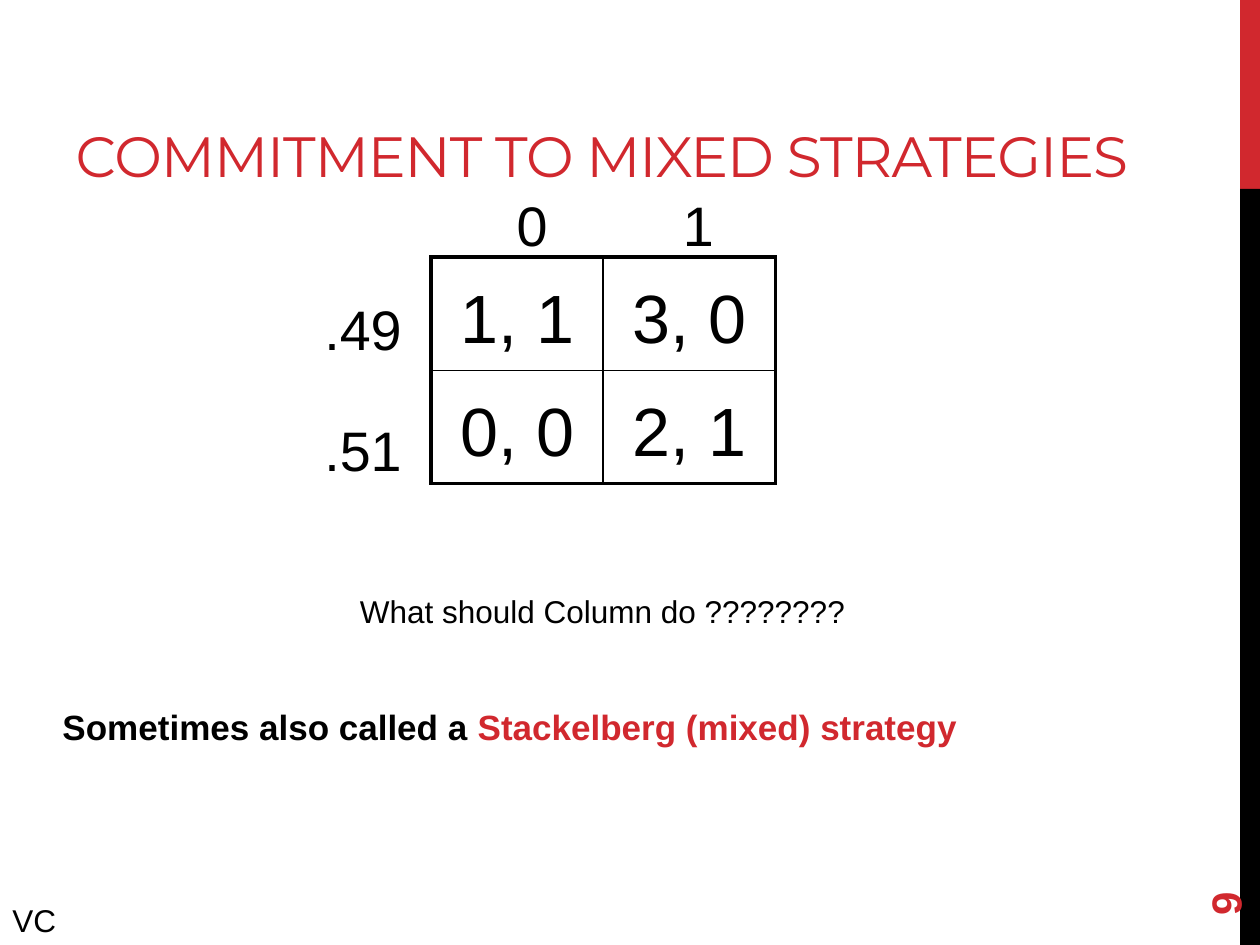
from lxml.etree import SubElement
from pptx import Presentation
from pptx.dml.color import RGBColor
from pptx.enum.shapes import MSO_SHAPE
from pptx.enum.text import MSO_ANCHOR, MSO_AUTO_SIZE, PP_ALIGN
from pptx.oxml.ns import qn
from pptx.util import Cm, Pt

RED = RGBColor(0xD1, 0x28, 0x2E)
BLACK = RGBColor(0, 0, 0)
PAYOFFS = [["1, 1", "3, 0"], ["0, 0", "2, 1"]]
ROW_WEIGHTS = [".49", ".51"]
COLUMN_WEIGHTS = ["0", "1"]


def format_paragraph(paragraph, size, color=BLACK, bold=False, name="Arial",
                     align=PP_ALIGN.LEFT, line_spacing=None):
    """Set the font and alignment shared by all runs of a paragraph."""
    paragraph.alignment = align
    if line_spacing:
        paragraph.line_spacing = line_spacing
    font = paragraph.font
    font.name, font.size, font.bold = name, Pt(size), bold
    font.color.rgb = color


def add_text(slide, box, text, size, wrap=True, **style):
    """Add a one-paragraph text box and return its shape."""
    shape = slide.shapes.add_textbox(*map(Cm, box))
    frame = shape.text_frame
    frame.word_wrap = wrap
    paragraph = frame.paragraphs[0]
    paragraph.text = text
    format_paragraph(paragraph, size, **style)
    return shape


def add_side_bar(slide, left, top, width, height):
    """Draw the edge strip, its upper fifth red and the rest black."""
    split = height / 5
    for offset, length, color in [(0, split, RED), (split, height - split, BLACK)]:
        shape = slide.shapes.add_shape(MSO_SHAPE.RECTANGLE, Cm(left), Cm(top + offset),
                                       Cm(width), Cm(length))
        shape.shadow.inherit = False
        shape.fill.solid()
        shape.fill.fore_color.rgb = color
        shape.line.fill.background()


def add_title(slide, left, top, width, height):
    """Place and format the title placeholder."""
    title = slide.shapes.title
    title.left, title.top, title.width, title.height = map(Cm, (left, top, width, height))
    frame = title.text_frame
    frame.text = "COMMITMENT TO MIXED STRATEGIES"
    frame.auto_size = MSO_AUTO_SIZE.NONE
    frame.word_wrap = True
    frame.vertical_anchor = MSO_ANCHOR.BOTTOM
    paragraph = frame.paragraphs[0]
    format_paragraph(paragraph, 32.4, RED, name="Montserrat")
    paragraph.runs[0]._r.get_or_add_rPr().set("spc", "-60")


def set_borders(cell, widths):
    """Give a cell black borders from a mapping of side to points."""
    properties = cell._tc.get_or_add_tcPr()
    for index, side in enumerate("LRTB"):
        line = SubElement(properties, qn(f"a:ln{side}"), w=str(Pt(widths[side])))
        fill = SubElement(line, qn("a:solidFill"))
        SubElement(fill, qn("a:srgbClr"), val=str(BLACK))
        properties.insert(index, line)


def add_payoff_table(slide, left, top, width, height):
    """Draw the payoff matrix with a thick frame and thin inner lines."""
    rows, columns = len(PAYOFFS), len(PAYOFFS[0])
    table = slide.shapes.add_table(rows, columns, *map(Cm, (left, top, width, height))).table
    table.first_row = table.horz_banding = False
    for row, values in enumerate(PAYOFFS):
        for column, value in enumerate(values):
            cell = table.cell(row, column)
            cell.fill.background()
            cell.text = value
            format_paragraph(cell.text_frame.paragraphs[0], 39,
                             align=PP_ALIGN.CENTER, line_spacing=1.24)
            outer = {"L": column == 0, "R": column == columns - 1,
                     "T": row == 0, "B": row == rows - 1}
            set_borders(cell, {side: 2.25 if edge else 1 for side, edge in outer.items()})


def add_weights(slide, left, top, width, height):
    """Put the mixing weights beside and above the matrix."""
    boxes = [(left - 2.41, top + 0.28 + index * 2.44, 2.08, 1.85, text)
             for index, text in enumerate(ROW_WEIGHTS)]
    boxes += [(left + 1.47 + index * 3.35, top - 1.83, 1.14, 1.85, text)
              for index, text in enumerate(COLUMN_WEIGHTS)]
    for *box, text in boxes:
        shape = add_text(slide, box, text, 31.8, wrap=False,
                         align=PP_ALIGN.CENTER, line_spacing=1.18)
        shape.text_frame.margin_top = Cm(0.25)
        shape.text_frame.margin_bottom = Cm(0.08)


def add_definition(slide, left, top, width, height):
    """Write the definition with its term in red."""
    shape = add_text(slide, (left, top, width, height), "Sometimes also called a ", 20,
                     bold=True, line_spacing=1.24)
    paragraph = shape.text_frame.paragraphs[0]
    properties = paragraph._p.get_or_add_pPr()
    properties.set("marL", str(Cm(0.86)))
    properties.set("indent", str(Cm(-0.79)))
    term = paragraph.add_run()
    term.text = "Stackelberg (mixed) strategy"
    term.font.color.rgb = RED


def add_slide_number(slide, left, top, width, height):
    """Write the slide number turned to read upwards."""
    shape = add_text(slide, (left, top, width, height), "9", 24, color=RED, bold=True)
    shape.text_frame.vertical_anchor = MSO_ANCHOR.MIDDLE
    shape.rotation = 270


def main():
    """Build and save the slide."""
    presentation = Presentation()
    presentation.slide_width, presentation.slide_height = Cm(25.4), Cm(19.05)
    slide = presentation.slides.add_slide(presentation.slide_layouts[5])
    matrix = (8.69, 5.18, 6.94, 4.57)
    add_side_bar(slide, 25, 0, 0.4, 19.05)
    add_title(slide, 1.27, 0.76, 22.86, 3.18)
    add_payoff_table(slide, *matrix)
    add_weights(slide, *matrix)
    add_definition(slide, 0.94, 13.89, 23.42, 1.9)
    add_slide_number(slide, 22.86, 16.36, 3.66, 1.02)
    add_text(slide, (0, 18.03, 1.93, 1.02), "VC", 18)
    add_text(slide, (6.76, 11.81, 10.77, 1.02), "What should Column do ????????", 18,
             align=PP_ALIGN.CENTER)
    presentation.save("out.pptx")


if __name__ == "__main__":
    main()
